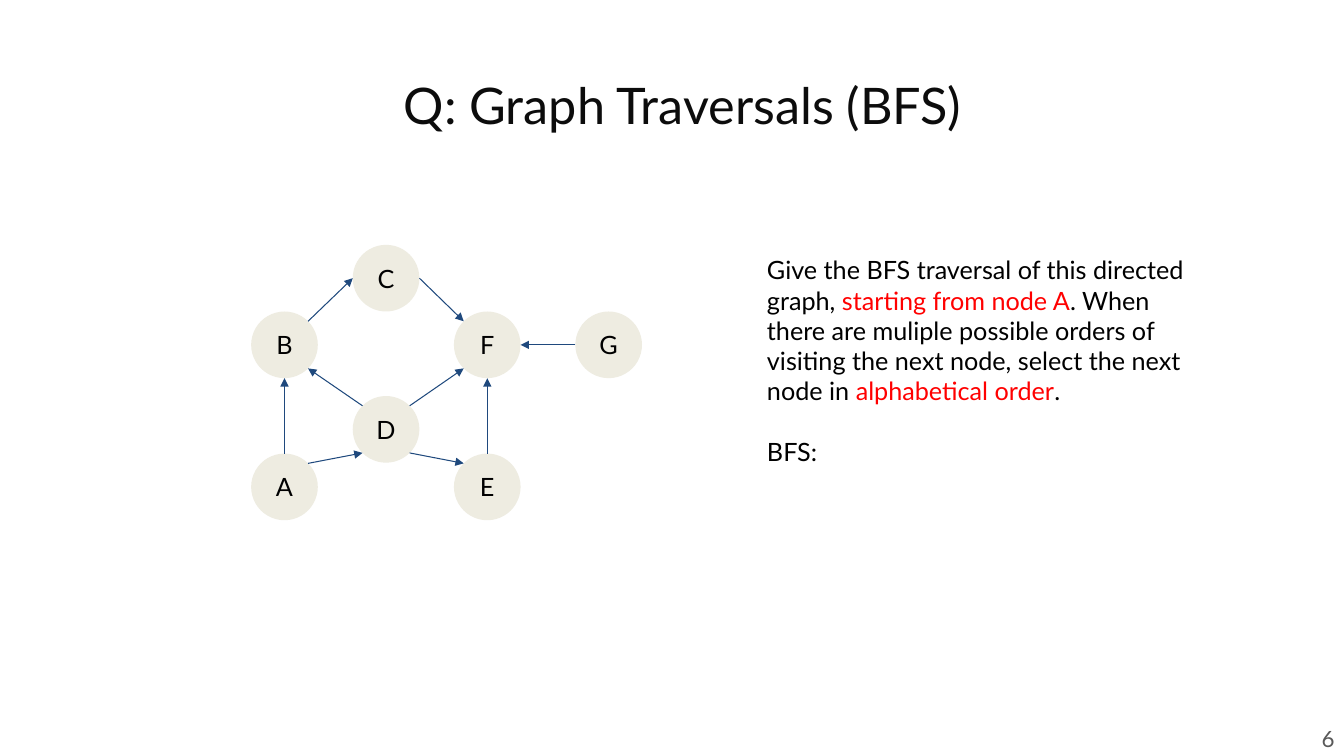
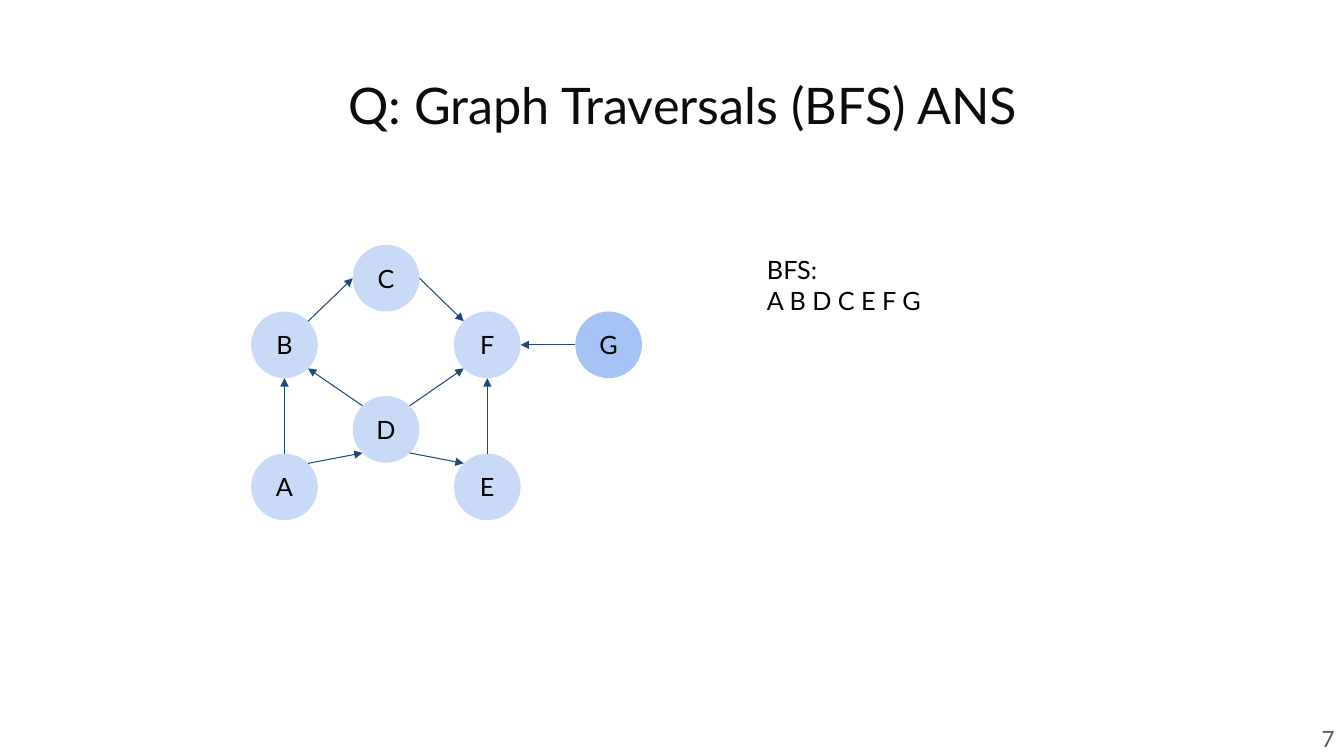
from dataclasses import dataclass
from math import cos, radians, sin

from lxml.etree import SubElement
from pptx import Presentation
from pptx.dml.color import RGBColor
from pptx.enum.shapes import MSO_CONNECTOR, MSO_SHAPE
from pptx.enum.text import MSO_ANCHOR, PP_ALIGN
from pptx.oxml.ns import qn
from pptx.util import Cm, Pt


@dataclass(frozen=True)
class Theme:
    font: str = "Lato"
    text: str = "000000"
    title: str = "0C0C0C"
    number: str = "595959"
    highlight: str = "FF0000"
    edge: str = "1F497D"
    node: str = "EEECE1"
    visited: str = "C9DAF8"
    visited_last: str = "A4C2F4"
    title_size: int = 36
    body_size: int = 18
    number_size: int = 16
    edge_width: float = 0.75
    inset: float = 0.25
    paragraph_gap: float = 21.6


THEME = Theme()

SLIDES = [
    {
        "title": "Q: Graph Traversals (BFS)",
        "number": "6",
        "node_fill": THEME.node,
        "special_fills": {},
        "body_size": (11.53, 5.89),
        "paragraph_gap": THEME.paragraph_gap,
        "body": [
            [
                ("Give the BFS traversal of this directed graph, ", THEME.text),
                ("starting from node A", THEME.highlight),
                (". When there are muliple possible orders of visiting the next node, "
                 "select the next node in ", THEME.text),
                ("alphabetical order", THEME.highlight),
                (".", THEME.text),
            ],
            [("BFS:", THEME.text)],
        ],
    },
    {
        "title": "Q: Graph Traversals (BFS) ANS",
        "number": "7",
        "node_fill": THEME.visited,
        "special_fills": {"G": THEME.visited_last},
        "body_size": (6.17, 2.82),
        "paragraph_gap": 0,
        "body": [[("BFS:", THEME.text)], [("A B D C E F G", THEME.text)]],
    },
]

COLUMNS = [7.17, 9.73, 12.28, 15.34]
ROWS = [7.01, 8.69, 10.82, 12.27]
NODE_DIAMETER = 1.68
NODES = {
    "A": (0, 3),
    "B": (0, 1),
    "D": (1, 2),
    "E": (2, 3),
    "F": (2, 1),
    "C": (1, 0),
    "G": (3, 1),
}

SITES = ["top", "top left", "left", "bottom left",
         "bottom", "bottom right", "right", "top right"]
EDGES = [
    ("A", "top", "B", "bottom"),
    ("A", "top right", "D", "bottom left"),
    ("D", "top left", "B", "bottom right"),
    ("B", "top right", "C", "left"),
    ("D", "top right", "F", "bottom left"),
    ("D", "bottom right", "E", "top left"),
    ("E", "top", "F", "bottom"),
    ("C", "right", "F", "top left"),
    ("G", "left", "F", "right"),
]

TITLE_BOX = (3.78, 1.63, 26.85, 2.13)
NUMBER_BOX = (32.41, 18.03, 1.47, 1.17)
BODY_ORIGIN = (19.08, 6.17)


def write_text(shape, paragraphs, size, align=PP_ALIGN.LEFT, anchor=MSO_ANCHOR.TOP, gap=0):
    frame = shape.text_frame
    frame.word_wrap = True
    frame.vertical_anchor = anchor
    frame.margin_left = frame.margin_right = Cm(THEME.inset)
    frame.margin_top = frame.margin_bottom = Cm(THEME.inset)
    for index, runs in enumerate(paragraphs):
        paragraph = frame.add_paragraph() if index else frame.paragraphs[0]
        paragraph.alignment = align
        if index:
            paragraph.space_before = Pt(gap)
        for text, color in runs:
            run = paragraph.add_run()
            run.text = text
            run.font.name = THEME.font
            run.font.size = Pt(size)
            run.font.color.rgb = RGBColor.from_string(color)


def add_text(slide, box, paragraphs, size, **options):
    shape = slide.shapes.add_textbox(*map(Cm, box))
    write_text(shape, paragraphs, size, **options)


def node_center(name):
    column, row = NODES[name]
    return COLUMNS[column], ROWS[row]


def site_point(name, site):
    x, y = node_center(name)
    angle = radians(90 + 45 * SITES.index(site))
    radius = NODE_DIAMETER / 2
    return Cm(x + radius * cos(angle)), Cm(y - radius * sin(angle))


def add_node(slide, name, fill):
    x, y = node_center(name)
    radius = NODE_DIAMETER / 2
    shape = slide.shapes.add_shape(
        MSO_SHAPE.OVAL, Cm(x - radius), Cm(y - radius), Cm(NODE_DIAMETER), Cm(NODE_DIAMETER))
    shape.shadow.inherit = False
    shape.fill.solid()
    shape.fill.fore_color.rgb = RGBColor.from_string(fill)
    shape.line.fill.background()
    write_text(shape, [[(name, THEME.text)]], THEME.body_size,
               align=PP_ALIGN.CENTER, anchor=MSO_ANCHOR.MIDDLE)
    return shape


def add_edge(slide, shapes, start, start_site, end, end_site):
    connector = slide.shapes.add_connector(
        MSO_CONNECTOR.STRAIGHT, *site_point(start, start_site), *site_point(end, end_site))
    connector.line.color.rgb = RGBColor.from_string(THEME.edge)
    connector.line.width = Pt(THEME.edge_width)
    element = connector.element
    SubElement(element.spPr.find(qn("a:ln")), qn("a:tailEnd"), type="triangle")
    SubElement(element.spPr, qn("a:effectLst"))
    links = element.find(".//" + qn("p:cNvCxnSpPr"))
    for tag, name, site in (("a:stCxn", start, start_site), ("a:endCxn", end, end_site)):
        SubElement(links, qn(tag), id=str(shapes[name].shape_id), idx=str(SITES.index(site)))


def add_graph(slide, node_fill, special_fills):
    shapes = {name: add_node(slide, name, special_fills.get(name, node_fill)) for name in NODES}
    for edge in EDGES:
        add_edge(slide, shapes, *edge)


def build_slide(presentation, content):
    slide = presentation.slides.add_slide(presentation.slide_layouts[6])
    add_text(slide, TITLE_BOX, [[(content["title"], THEME.title)]], THEME.title_size,
             align=PP_ALIGN.CENTER)
    add_graph(slide, content["node_fill"], content["special_fills"])
    add_text(slide, BODY_ORIGIN + content["body_size"], content["body"], THEME.body_size,
             gap=content["paragraph_gap"])
    add_text(slide, NUMBER_BOX, [[(content["number"], THEME.number)]], THEME.number_size,
             align=PP_ALIGN.RIGHT, anchor=MSO_ANCHOR.MIDDLE)


def main():
    presentation = Presentation()
    presentation.slide_width = Cm(33.87)
    presentation.slide_height = Cm(19.05)
    for content in SLIDES:
        build_slide(presentation, content)
    presentation.save("out.pptx")


if __name__ == "__main__":
    main()
